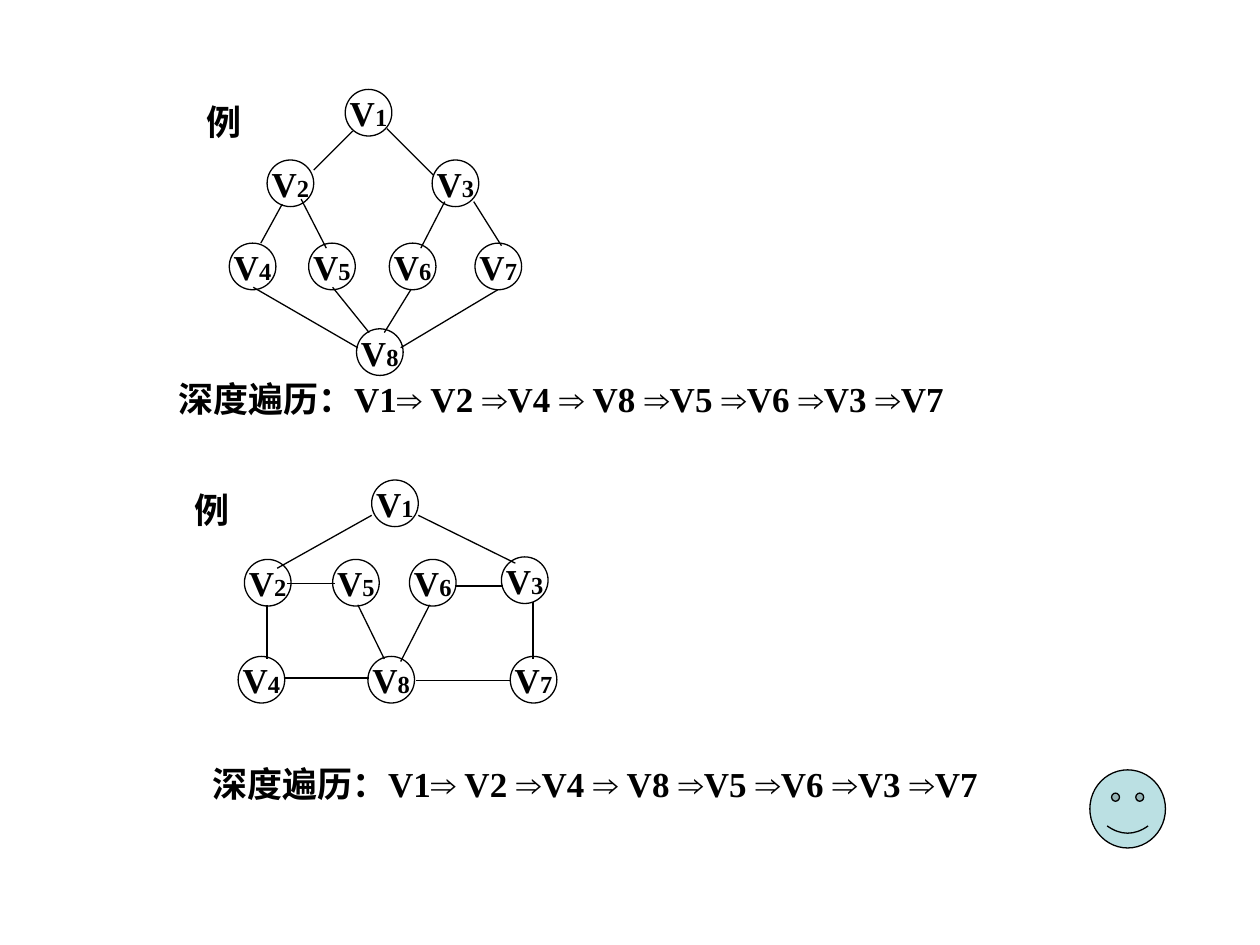
from lxml.etree import SubElement
from pptx import Presentation
from pptx.dml.color import RGBColor
from pptx.enum.shapes import MSO_CONNECTOR, MSO_SHAPE
from pptx.enum.text import MSO_ANCHOR, MSO_AUTO_SIZE, PP_ALIGN
from pptx.oxml.ns import qn
from pptx.util import Pt

PX = 9144
DOT = 37
INK = "000000"
SERIF = "Times New Roman"
ROUTE = ["深度遍历：V1", " V2 ", "V4 ", " V8 ", "V5 ", "V6 ", "V3 ", "V7"]

TREE_NODES = [(124, 1), (62, 57), (193, 57), (32, 123),
              (95, 123), (159, 123), (227, 123), (133, 191)]
TREE_EDGES = [(130, 34, 99, 65), (157, 32, 194, 69), (74, 92, 57, 123),
              (89, 88, 109, 127), (203, 90, 184, 127), (226, 90, 248, 125),
              (114, 158, 143, 194), (176, 160, 155, 194),
              (51, 158, 134, 206), (245, 160, 168, 206)]
MESH_NODES = [(155, 1), (54, 64), (258, 62), (49, 141),
              (124, 64), (185, 64), (265, 141), (152, 141)]
MESH_EDGES = [(155, 29, 80, 71), (192, 29, 269, 67), (88, 83, 126, 83),
              (221, 85, 259, 85), (72, 100, 72, 143), (86, 158, 153, 158),
              (190, 160, 265, 160), (283, 98, 283, 143),
              (144, 100, 165, 143), (201, 100, 178, 145)]


def px(*sizes):
    """Turn px lengths into EMU."""
    return [size * PX for size in sizes]


def color(code):
    """Turn a hex string into a colour."""
    return RGBColor.from_string(code)


def stroke(line):
    """Give a line the thin dark style."""
    line.color.rgb = color(INK)
    line.width = Pt(0.75)


def write(para, text, size=20, name=SERIF):
    """Add one bold run to a paragraph."""
    run = para.add_run()
    run.text = text
    font = run.font
    font.size, font.bold, font.name = Pt(size), True, name
    font.color.rgb = color(INK)


def label(shapes, x, y, wide, high):
    """Add an unwrapped text box and return its paragraph."""
    frame = shapes.add_textbox(*px(x, y, wide, high)).text_frame
    frame.word_wrap = False
    frame.auto_size = MSO_AUTO_SIZE.SHAPE_TO_FIT_TEXT
    return frame.paragraphs[0]


def node(shapes, x, y, num):
    """Draw one numbered vertex."""
    disc = shapes.add_shape(MSO_SHAPE.OVAL, *px(x, y, DOT, DOT))
    disc.shadow.inherit = False
    disc.fill.background()
    stroke(disc.line)
    frame = disc.text_frame
    frame.word_wrap = False
    frame.vertical_anchor = MSO_ANCHOR.MIDDLE
    para = frame.paragraphs[0]
    para.alignment = PP_ALIGN.CENTER
    write(para, "V")
    write(para, str(num), 14)


def edge(shapes, *ends):
    """Draw one straight edge."""
    link = shapes.add_connector(MSO_CONNECTOR.STRAIGHT, *px(*ends))
    stroke(link.line)
    SubElement(link._element.spPr, qn("a:effectLst"))


def graph(slide, left, top, title, nodes, edges):
    """Draw a titled graph as one group from its corner."""
    shapes = slide.shapes.add_group_shape().shapes
    para = label(shapes, left + title[0], top + title[1], 48, 44)
    para.alignment = PP_ALIGN.CENTER
    write(para, "例")
    for num, (x, y) in enumerate(nodes, 1):
        node(shapes, left + x, top + y, num)
    for x1, y1, x2, y2 in edges:
        edge(shapes, left + x1, top + y1, left + x2, top + y2)


def route(slide, left, top):
    """Write the depth-first order in one line."""
    para = label(slide.shapes, left, top, 649, 44)
    for spot, stop in enumerate(ROUTE):
        if spot:
            write(para, "⇒", name="Arial")
        write(para, stop)


def smile(slide, *box):
    """Draw the smiling face."""
    face = slide.shapes.add_shape(MSO_SHAPE.SMILEY_FACE, *px(*box))
    face.shadow.inherit = False
    face.fill.solid()
    face.fill.fore_color.rgb = color("BBE0E3")
    stroke(face.line)


def main():
    """Build and save the slide."""
    deck = Presentation()
    deck.slide_width, deck.slide_height = px(1000, 750)
    slide = deck.slides.add_slide(deck.slide_layouts[6])
    graph(slide, 150, 70, (4, 5), TREE_NODES, TREE_EDGES)
    graph(slide, 140, 380, (4, 3), MESH_NODES, MESH_EDGES)
    route(slide, 132, 295)
    route(slide, 159, 600)
    smile(slide, 865, 611, 60, 62)
    deck.save("out.pptx")


if __name__ == "__main__":
    main()
